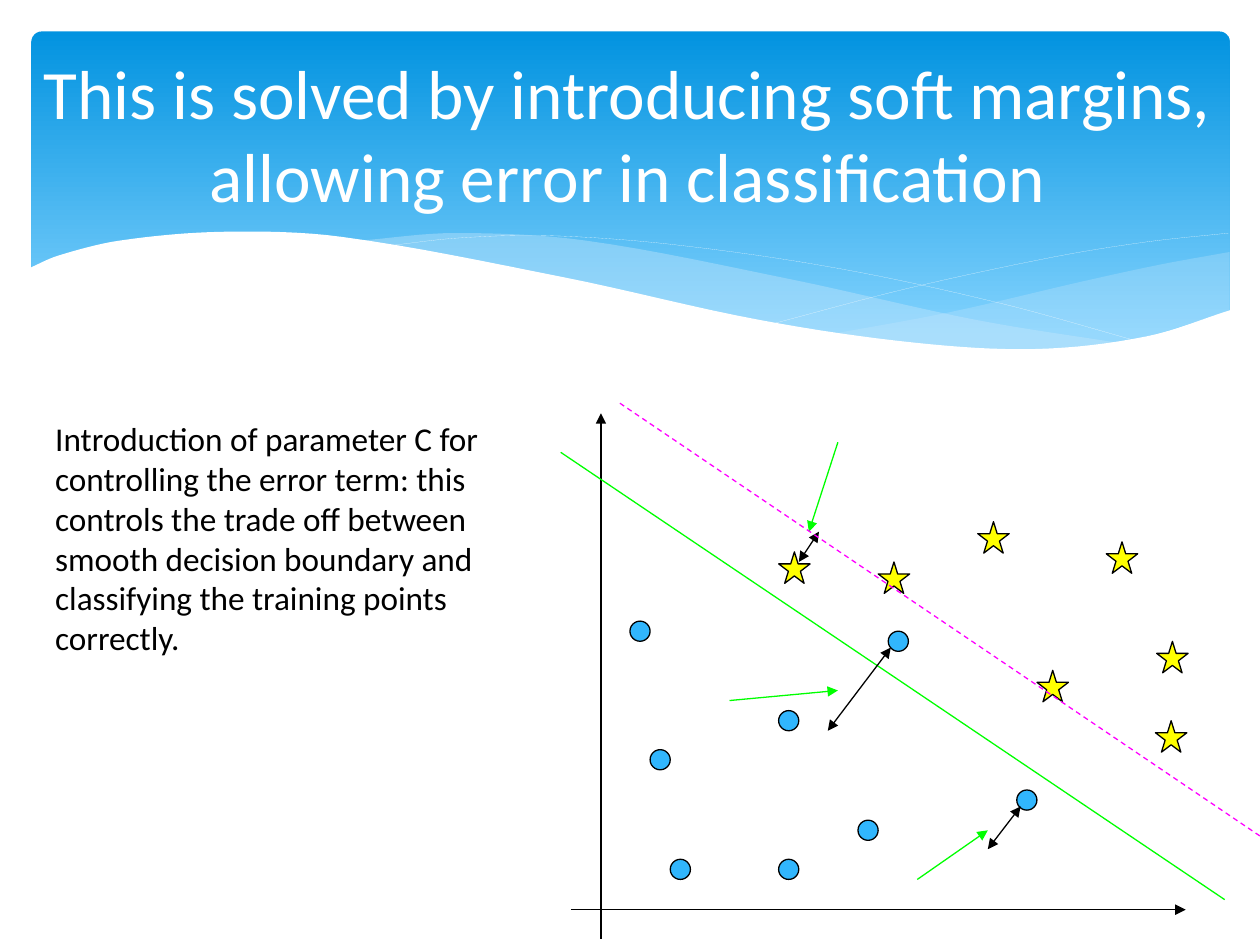
from lxml import etree
from pptx import Presentation
from pptx.dml.color import RGBColor
from pptx.enum.dml import MSO_LINE
from pptx.enum.shapes import MSO_CONNECTOR, MSO_SHAPE
from pptx.enum.text import MSO_ANCHOR, PP_ALIGN
from pptx.oxml.ns import qn
from pptx.util import Inches, Pt

STRAIGHT = MSO_CONNECTOR.STRAIGHT
ROUNDED, DOT, STAR = MSO_SHAPE.ROUNDED_RECTANGLE, MSO_SHAPE.FLOWCHART_CONNECTOR, MSO_SHAPE.STAR_5_POINT
TOP, MIDDLE = MSO_ANCHOR.TOP, MSO_ANCHOR.MIDDLE
LEFT, CENTER = PP_ALIGN.LEFT, PP_ALIGN.CENTER
SOLID, DASH = MSO_LINE.SOLID, MSO_LINE.DASH
BLACK, WHITE, GREEN, MAGENTA = "000000", "FFFFFF", "00FF00", "FF00FF"
BLUE, YELLOW, PALE = "31B6FD", "FFFF00", "C6E7FC"
BANNER_TOP, BANNER_BOTTOM = "0293E0", "83D3FE"
HAIRLINE, THIN = Pt(0.05), Pt(0.75)
STEPS = 8  # straight pieces between two knots of a wave

rgb = RGBColor.from_string


def add_text(text, place, size, color, align=LEFT, anchor=TOP):
    box = page.shapes.add_textbox(*map(Inches, place))
    box.text_frame.word_wrap = True
    box.text_frame.vertical_anchor = anchor
    para = box.text_frame.paragraphs[0]
    para.alignment = align
    span = para.add_run()
    span.text = text
    span.font.name = "Calibri"
    span.font.size = Pt(size)
    span.font.color.rgb = rgb(color)


def smooth(knots):
    """Return points on a cubic curve through knots that run from left to right.

    The slope at a knot is that of the line between its two neighbours.
    """
    last = len(knots) - 1
    slopes = []
    for i in range(last + 1):
        (x0, y0), (x1, y1) = knots[max(i - 1, 0)], knots[min(i + 1, last)]
        slopes.append((y1 - y0) / (x1 - x0))
    points = [knots[0]]
    for i in range(last):
        (x0, y0), (x1, y1) = knots[i], knots[i + 1]
        width = x1 - x0
        for step in range(1, STEPS + 1):
            t = step / STEPS
            ease = t * t * (3 - 2 * t)
            bend = t * (1 - t) * ((1 - t) * slopes[i] - t * slopes[i + 1])
            points.append((x0 + t * width, y0 + ease * (y1 - y0) + bend * width))
    return points


deck = Presentation()
deck.slide_width, deck.slide_height = Inches(10), Inches(7.5)
page = deck.slides.add_slide(deck.slide_layouts[6])

# Banner with a gradient
banner = page.shapes.add_shape(ROUNDED, Inches(0.25), Inches(0.25), Inches(9.51), Inches(2.7))
banner.adjustments[0] = 0.03
banner.shadow.inherit = False
banner.line.fill.background()
banner.fill.gradient()
banner.fill.gradient_angle = 270
for stop, position, color in zip(banner.fill.gradient_stops, (0, 0.9), (BANNER_TOP, BANNER_BOTTOM)):
    stop.position = position
    stop.color.rgb = rgb(color)

# Filled waves lie between an upper and a lower edge
right_upper = [(6.61, 2.65), (7.53, 2.48), (8.61, 2.23), (9.21, 2.1), (9.76, 2)]
right_lower = [(6.61, 2.65), (7.45, 2.75), (8.24, 2.77), (8.97, 2.7), (9.76, 2.47)]
middle_upper = [(2.86, 1.91), (3.61, 1.85), (4.65, 1.91), (6.29, 2.22), (7.75, 2.54), (8.93, 2.73)]
middle_lower = [(2.86, 1.91), (4.49, 2.22), (6.01, 2.55), (7.22, 2.74), (8.07, 2.78), (8.93, 2.73)]
cutout_upper = [(0.23, 2.13), (0.46, 2.03), (0.95, 1.91), (1.77, 1.84), (2.71, 1.88), (4.47, 2.2),
                (6.03, 2.54), (7.26, 2.72), (8.23, 2.77), (9.1, 2.67), (9.77, 2.46)]
cutout_lower = [(0.23, 3.29), (9.77, 3.29)]
# Outlined waves are a single curve
falling = [(3.09, 1.95), (3.63, 1.89), (4.33, 1.87), (5.33, 1.94), (6.65, 2.13), (7.95, 2.41), (9.07, 2.72)]
rising = [(6.13, 2.57), (7.2, 2.29), (8.36, 2.04), (9.1, 1.92), (9.75, 1.85)]

for upper, lower, color, opacity in (
        (right_upper, right_lower, PALE, 29),
        (middle_upper, middle_lower, PALE, 40),
        (falling, None, WHITE, 100),
        (rising, None, WHITE, 100),
        (cutout_upper, cutout_lower, WHITE, 100)):
    outline = smooth(upper)
    if lower:
        outline += reversed(smooth(lower))
    start, *rest = [(Inches(x), Inches(y)) for x, y in outline]
    builder = page.shapes.build_freeform(*start)
    builder.add_line_segments(rest, close=bool(lower))
    wave = builder.convert_to_shape()
    wave.shadow.inherit = False
    if lower:
        wave.line.fill.background()
        wave.fill.solid()
        wave.fill.fore_color.rgb = rgb(color)
        tint = wave._element.spPr.find(qn("a:solidFill"))[0]
        etree.SubElement(tint, qn("a:alpha"), val=str(opacity * 1000))
    else:
        wave.fill.background()
        wave.line.color.rgb = rgb(color)
        wave.line.width = HAIRLINE

add_text("Introduction of parameter C for controlling the error term: this controls the trade off "
         "between smooth decision boundary and classifying the training points correctly.",
         (0.34, 3.27, 4.03, 3.77), 19, BLACK)
add_text("This is solved by introducing soft margins, allowing error in classification",
         (0.24, 0.37, 9.48, 1.37), 39.6, WHITE, align=CENTER, anchor=MIDDLE)

# Training points of the two classes, each by its top left corner
circle_class = [(5.16, 5.95), (6.18, 5.64), (5.32, 6.82), (7.05, 5.01),
                (6.18, 6.82), (5, 4.93), (8.07, 6.27), (6.81, 6.51)]
star_class = [(8.23, 5.32), (6.97, 4.46), (8.78, 4.3), (9.17, 5.72),
              (9.18, 5.09), (7.76, 4.14), (6.18, 4.38)]
for kind, corners, size, color in ((DOT, circle_class, 0.16, BLUE), (STAR, star_class, 0.25, YELLOW)):
    for x, y in corners:
        marker = page.shapes.add_shape(kind, Inches(x), Inches(y), Inches(size), Inches(size))
        marker.shadow.inherit = False
        marker.fill.solid()
        marker.fill.fore_color.rgb = rgb(color)
        marker.line.color.rgb = rgb(BLACK)
        marker.line.width = THIN

# Lines of the diagram, each as start x, start y, end x, end y
axes = [(4.53, 7.22, 9.41, 7.22), (4.77, 7.45, 4.77, 3.28)]
decision_boundary = [(4.45, 3.59, 9.72, 7.14)]
error_distances = [(6.57, 5.8, 7.07, 5.14), (6.34, 4.46, 6.5, 4.22), (7.84, 6.74, 8.1, 6.4)]
error_pointers = [(6.65, 3.51, 6.42, 4.22), (7.28, 6.98, 7.84, 6.59), (5.79, 5.56, 6.65, 5.48)]
margin = [(4.92, 3.2, 10.51, 6.98)]
for group, color, arrowheads, dash in (
        (axes, BLACK, ["tailEnd"], SOLID),
        (decision_boundary, GREEN, [], SOLID),
        (error_distances, BLACK, ["headEnd", "tailEnd"], SOLID),
        (error_pointers, GREEN, ["tailEnd"], SOLID),
        (margin, MAGENTA, [], DASH)):
    for ends in group:
        connector = page.shapes.add_connector(STRAIGHT, *map(Inches, ends))
        connector.line.color.rgb = rgb(color)
        connector.line.width = THIN
        connector.line.dash_style = dash
        properties = connector._element.spPr
        for arrowhead in arrowheads:
            etree.SubElement(properties.find(qn("a:ln")), qn(f"a:{arrowhead}"), type="triangle")
        etree.SubElement(properties, qn("a:effectLst"))

deck.save("out.pptx")
